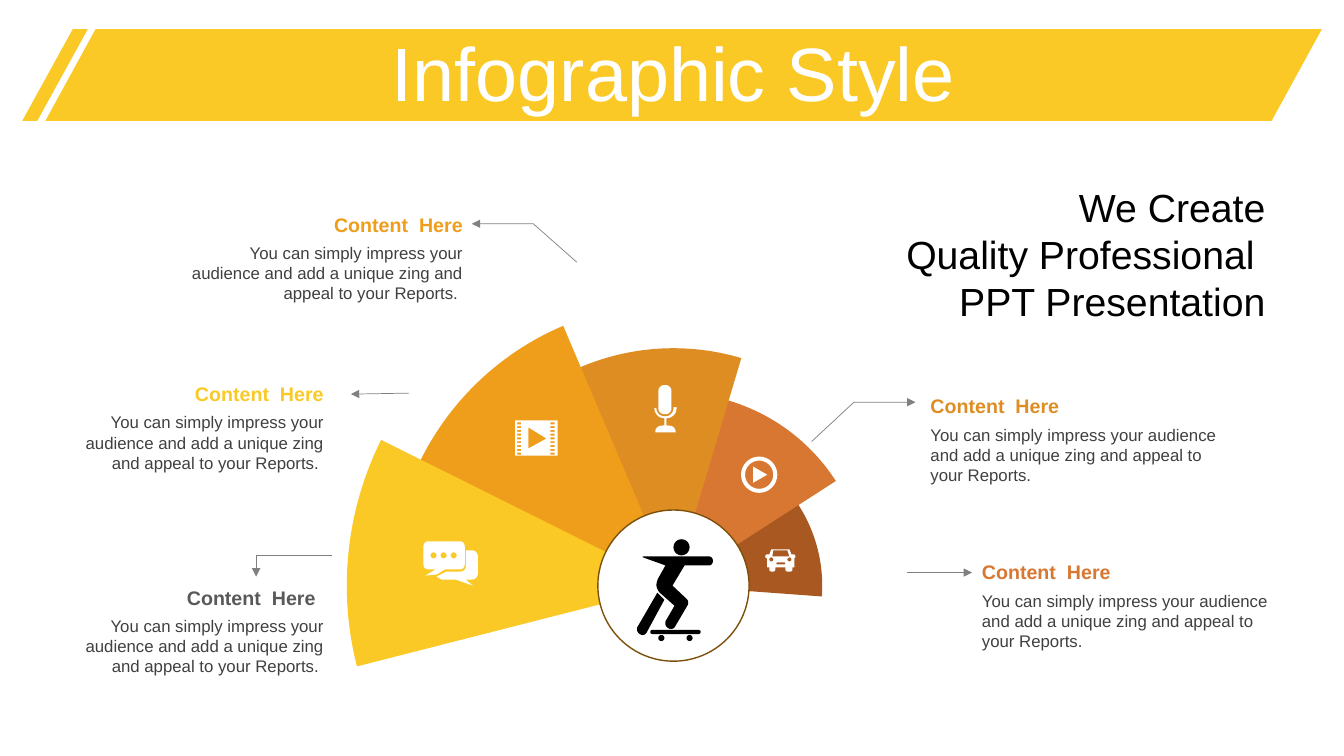
from dataclasses import dataclass
from math import hypot

from lxml.etree import SubElement
from pptx import Presentation
from pptx.dml.color import RGBColor
from pptx.enum.shapes import MSO_CONNECTOR, MSO_SHAPE
from pptx.enum.text import MSO_ANCHOR, MSO_AUTO_SIZE, PP_ALIGN
from pptx.oxml.ns import qn
from pptx.shapes.base import BaseShape
from pptx.slide import Slide
from pptx.util import Inches, Pt

WHITE = RGBColor(0xFF, 0xFF, 0xFF)
BLACK = RGBColor(0, 0, 0)
YELLOW = RGBColor(0xFA, 0xC9, 0x26)
AMBER = RGBColor(0xEF, 0x9E, 0x1B)
OCHRE = RGBColor(0xDE, 0x8D, 0x22)
ORANGE = RGBColor(0xD8, 0x77, 0x32)
RUST = RGBColor(0xA8, 0x58, 0x20)
BROWN = RGBColor(0x7C, 0x50, 0x09)
SLATE = RGBColor(0x59, 0x59, 0x59)
INK = RGBColor(0x40, 0x40, 0x40)
GREY = RGBColor(0x80, 0x80, 0x80)

FONT = "Arial"
HUB = (6.68, 5.81)
BODY = "You can simply impress your audience and add a unique zing and appeal to your Reports."
Points = list[tuple[float, ...]]


@dataclass
class Wedge:
    size: float
    turn: float
    color: RGBColor


@dataclass
class Note:
    left: float
    top: float
    width: float
    color: RGBColor
    align: PP_ALIGN = PP_ALIGN.RIGHT
    indent: float = 0


WEDGES = [
    Wedge(2.95, 94.2, RUST),
    Wedge(3.83, 57.2, ORANGE),
    Wedge(4.71, 16.6, OCHRE),
    Wedge(5.6, 337, AMBER),
    Wedge(6.48, 296.5, YELLOW),
]
NOTES = [
    Note(9.13, 3.86, 3.09, OCHRE, PP_ALIGN.LEFT),
    Note(9.64, 5.51, 3.09, ORANGE, PP_ALIGN.LEFT),
    Note(1.73, 2.06, 2.96, AMBER),
    Note(0.49, 3.74, 2.82, YELLOW),
    Note(0.66, 5.76, 2.65, SLATE, indent=0.08),
]
ARROWS = [
    [(8.05, 4.38), (8.47, 3.99), (9.08, 3.99)],
    [(5.72, 2.6), (5.29, 2.22), (4.68, 2.22)],
    [(9, 5.68), (9.64, 5.68)],
    [(3.29, 5.51), (2.54, 5.51), (2.54, 5.72)],
    [(4.06, 3.9), (3.48, 3.91)],
]


def box(left: float, top: float, right: float, low: float, bend: float = 0) -> Points:
    return [(left, top, bend), (right, top, bend), (right, low, bend), (left, low, bend)]


def disk(x: float, y: float, radius: float) -> Points:
    return box(x - radius, y - radius, x + radius, y + radius, radius)


CHAT = [
    [(4.62, 5.46), (4.74, 5.46, 0.06), (4.74, 5.75, 0.06), (4.62, 5.75), (4.69, 5.81),
     (4.52, 5.75), (4.38, 5.75), (4.33, 5.72), (4.43, 5.67), (4.62, 5.67, 0.05)],
    [(4.2, 5.37, 0.05), (4.61, 5.37, 0.05), (4.61, 5.65, 0.05), (4.41, 5.65),
     (4.33, 5.7), (4.22, 5.71), (4.32, 5.65), (4.2, 5.65, 0.05)],
    *[disk(x, 5.51, 0.03) for x in (4.3, 4.4, 4.5)],
]
CAR = [
    [(7.65, 5.45), (7.83, 5.45), (7.85, 5.5), (7.89, 5.5, 0.02), (7.89, 5.54, 0.02),
     (7.88, 5.54), (7.88, 5.63), (7.86, 5.63), (7.86, 5.67, 0.02), (7.79, 5.67, 0.02),
     (7.79, 5.63), (7.69, 5.63), (7.69, 5.67, 0.02), (7.63, 5.67, 0.02), (7.63, 5.63),
     (7.61, 5.63), (7.61, 5.54), (7.59, 5.54, 0.02), (7.59, 5.5, 0.02), (7.63, 5.5)],
    [(7.67, 5.46), (7.66, 5.52), (7.83, 5.52), (7.81, 5.46)],
    box(7.7, 5.58, 7.79, 5.6, 0.01),
    disk(7.65, 5.55, 0.02),
    disk(7.83, 5.55, 0.02),
]
PLAY = [
    disk(7.53, 4.71, 0.18),
    disk(7.53, 4.71, 0.14),
    [(7.47, 4.63), (7.61, 4.71), (7.47, 4.79)],
]
FILM = [
    box(5.11, 4.17, 5.53, 4.52),
    [(5.24, 4.24), (5.42, 4.35), (5.24, 4.45)],
    *[box(x, 4.19 + row * 0.3 / 8, x + 0.04, 4.21 + row * 0.3 / 8)
      for x in (5.13, 5.46) for row in range(9)],
]
MIC = [
    box(6.53, 3.82, 6.66, 4.11, 0.06),
    [(6.71, 4.04), (6.71, 4.15, 0.1), (6.61, 4.15), (6.61, 4.22), (6.7, 4.23, 0.05),
     (6.7, 4.29), (6.5, 4.29), (6.5, 4.23, 0.05), (6.59, 4.22), (6.59, 4.15),
     (6.49, 4.15, 0.1), (6.49, 4.05), (6.51, 4.05), (6.51, 4.13, 0.08),
     (6.68, 4.13, 0.08), (6.68, 4.04)],
]
SKATER = [
    [(6.35, 5.52, 0.04), (7.07, 5.52, 0.04), (7.07, 5.61, 0.04), (6.79, 5.61),
     (6.67, 5.81), (6.84, 5.97, 0.04), (6.67, 6.26, 0.05), (6.58, 6.2, 0.05),
     (6.69, 6.01), (6.51, 5.85, 0.05), (6.51, 5.77, 0.04), (6.6, 5.61)],
    [(6.52, 5.88), (6.59, 5.95), (6.39, 6.32, 0.05), (6.3, 6.26, 0.05), (6.48, 5.95)],
    disk(6.76, 5.43, 0.08),
    box(6.45, 6.25, 6.95, 6.29, 0.02),
    disk(6.84, 6.33, 0.03),
    disk(6.56, 6.33, 0.03),
]


def smooth(corners: Points) -> list[tuple[int, int]]:
    """Turn corners (x, y, optional bend) into a closed outline with rounded corners."""
    dots = []
    for i, (x, y, *bend) in enumerate(corners):
        if not any(bend):
            dots.append((x, y))
            continue
        ends = []
        for near in (corners[i - 1], corners[(i + 1) % len(corners)]):
            part = bend[0] / hypot(near[0] - x, near[1] - y)
            ends.append(((near[0] - x) * part, (near[1] - y) * part))
        (ax, ay), (bx, by) = ends
        for step in range(9):
            t = step / 8
            a = (1 - t) ** 3 + 1.35 * t * (1 - t) ** 2
            b = t ** 3 + 1.35 * t * t * (1 - t)
            dots.append((x + a * ax + b * bx, y + a * ay + b * by))
    return [(Inches(x), Inches(y)) for x, y in dots]


def paint(shape: BaseShape, color: RGBColor) -> None:
    shape.shadow.inherit = False
    shape.fill.solid()
    shape.fill.fore_color.rgb = color
    shape.line.fill.background()


def add_shape(slide: Slide, kind: MSO_SHAPE, left: float, top: float, width: float,
              height: float, color: RGBColor, *knobs: float) -> BaseShape:
    shape = slide.shapes.add_shape(
        kind, Inches(left), Inches(top), Inches(width), Inches(height))
    for i, knob in enumerate(knobs):
        shape.adjustments[i] = knob
    paint(shape, color)
    return shape


def add_icon(slide: Slide, parts: list[Points], color: RGBColor) -> None:
    first, *rest = map(smooth, parts)
    pen = slide.shapes.build_freeform(*first[0])
    pen.add_line_segments(first[1:])
    for dots in rest:
        pen.move_to(*dots[0])
        pen.add_line_segments(dots[1:])
    paint(pen.convert_to_shape(), color)


def add_arrow(slide: Slide, stops: Points) -> None:
    dots = [(Inches(x), Inches(y)) for x, y in stops]
    if len(dots) == 2:
        arrow = slide.shapes.add_connector(MSO_CONNECTOR.STRAIGHT, *dots[0], *dots[1])
    else:
        pen = slide.shapes.build_freeform(*dots[0])
        pen.add_line_segments(dots[1:], close=False)
        arrow = pen.convert_to_shape()
        arrow.fill.background()
    arrow.line.color.rgb = GREY
    arrow.line.width = Pt(0.5)
    props = arrow.element.spPr
    SubElement(props.find(qn("a:ln")), qn("a:tailEnd"), type="triangle")
    SubElement(props, qn("a:effectLst"))


def add_text(slide: Slide, left: float, top: float, width: float, height: float,
             lines: list[str], size: float, color: RGBColor, align: PP_ALIGN,
             bold: bool = False) -> BaseShape:
    label = slide.shapes.add_textbox(
        Inches(left), Inches(top), Inches(width), Inches(height))
    label.text_frame.word_wrap = True
    label.text_frame.auto_size = MSO_AUTO_SIZE.SHAPE_TO_FIT_TEXT
    fill_text(label, lines, size, color, align, bold)
    return label


def fill_text(shape: BaseShape, lines: list[str], size: float, color: RGBColor,
              align: PP_ALIGN, bold: bool = False) -> None:
    shape.text_frame.text = "\n".join(lines)
    for para in shape.text_frame.paragraphs:
        para.alignment = align
        font = para.font
        font.name, font.size, font.bold = FONT, Pt(size), bold
        font.color.rgb = color


def add_title(slide: Slide) -> None:
    title = slide.shapes.title
    title.left, title.top = Inches(0.35), Inches(0.37)
    title.width, title.height = Inches(12.66), Inches(0.79)
    fill_text(title, ["Infographic Style"], 54, WHITE, PP_ALIGN.CENTER)
    frame = title.text_frame
    frame.auto_size = MSO_AUTO_SIZE.NONE
    frame.vertical_anchor = MSO_ANCHOR.MIDDLE
    frame.paragraphs[0].line_spacing = 0.9
    title.element.getparent().append(title.element)


def add_note(slide: Slide, note: Note) -> None:
    add_text(slide, note.left, note.top, note.width - note.indent, 0.34,
             ["Content  Here"], 14, note.color, note.align, True)
    tail = " " if note.align == PP_ALIGN.RIGHT else ""
    add_text(slide, note.left, note.top + 0.3, note.width, 0.71,
             [BODY + tail], 12, INK, note.align)


def main() -> None:
    deck = Presentation()
    deck.slide_width, deck.slide_height = Inches(13.33), Inches(7.5)
    slide = deck.slides.add_slide(deck.slide_layouts[5])

    add_shape(slide, MSO_SHAPE.PARALLELOGRAM, 0.45, 0.29, 12.66, 0.91, YELLOW, 0.547)
    add_shape(slide, MSO_SHAPE.PARALLELOGRAM, 0.22, 0.29, 0.65, 0.91, YELLOW, 0.771)
    add_title(slide)

    x, y = HUB
    for wedge in WEDGES:
        half = wedge.size / 2
        pie = add_shape(slide, MSO_SHAPE.PIE, x - half, y - half, wedge.size, wedge.size,
                        wedge.color, 137.511, 162)
        pie.rotation = wedge.turn
    hub = add_shape(slide, MSO_SHAPE.OVAL, x - 0.75, y - 0.75, 1.5, 1.5, WHITE)
    hub.line.color.rgb = BROWN
    hub.line.width = Pt(1)

    for icon in (CHAT, CAR, PLAY, FILM, MIC):
        add_icon(slide, icon, WHITE)
    for limb in SKATER:
        add_icon(slide, [limb], BLACK)
    for note in NOTES:
        add_note(slide, note)
    for stops in ARROWS:
        add_arrow(slide, stops)

    slogan = add_text(slide, 8.88, 1.81, 3.71, 1.41,
                      ["We Create", "Quality Professional ", "PPT Presentation"],
                      28, BLACK, PP_ALIGN.RIGHT)
    frame = slogan.text_frame
    frame.vertical_anchor = MSO_ANCHOR.MIDDLE
    frame.margin_left = frame.margin_right = Inches(0.04)
    frame.margin_top = frame.margin_bottom = 0
    deck.save("out.pptx")


if __name__ == "__main__":
    main()
